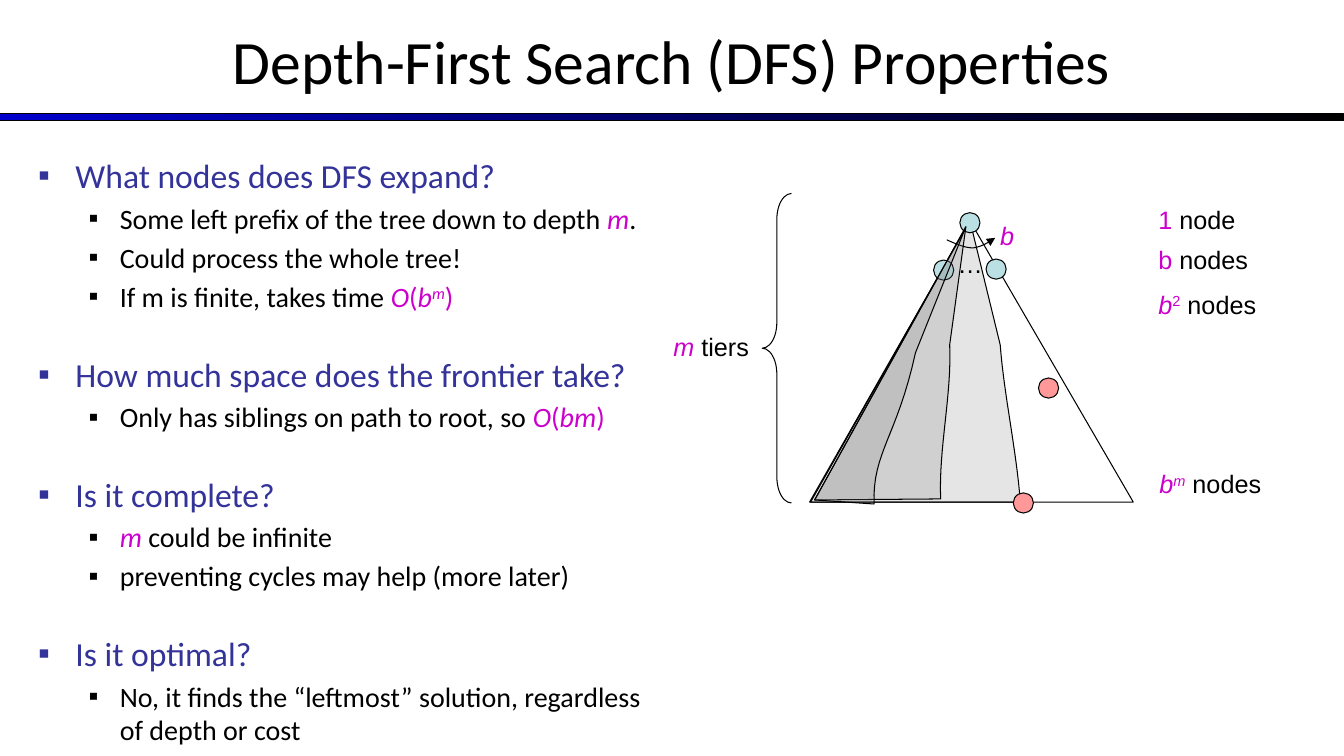
import pptx
import pptx.dml.color
import pptx.enum.shapes
import pptx.enum.text
import pptx.oxml.ns
import pptx.util
from lxml import etree

Inches, Pt = pptx.util.Inches, pptx.util.Pt
SHAPES = pptx.enum.shapes.MSO_SHAPE
BLACK, NAVY, MAGENTA = "000000", "333399", "CC00CC"
NODE_BLUE, NODE_RED, WEDGE_GREY = "BBE0E3", "FF9999", "808080"

TITLE = "Depth-First Search (DFS) Properties"

# Text runs are (text, style): m = magenta, i = italic, s = superscript
SECTIONS = [
    ("What nodes does DFS expand?", [
        [("Some left prefix of the tree down to depth ", ""), ("m", "mi"), (".", "")],
        [("Could process the whole tree!", "")],
        [("If m is finite, takes time ", ""), ("O", "mi"), ("(", "m"), ("b", "mi"),
         ("m", "mis"), (")", "m")],
    ]),
    ("How much space does the frontier take?", [
        [("Only has siblings on path to root, so ", ""), ("O", "mi"), ("(", "m"),
         ("bm", "mi"), (")", "m")],
    ]),
    ("Is it complete?", [
        [("m", "mi"), (" could be infinite", "")],
        [("preventing cycles may help (more later)", "")],
    ]),
    ("Is it optimal?", [
        [("No, it finds the “leftmost” solution, regardless of depth or cost", "")],
    ]),
]

# (left, top, width, runs)
LABELS = [
    (9.4, 2.41, 0.3, [("…", "")]),
    (9.82, 2.14, 0.33, [("b", "mi")]),
    (11.39, 1.98, 1.22, [("1", "m"), (" node", "")]),
    (11.39, 2.37, 1.22, [("b", "m"), (" nodes", "")]),
    (11.39, 2.82, 1.22, [("b", "mi"), ("2", "ms"), (" nodes", "")]),
    (11.4, 4.6, 1.6, [("b", "mi"), ("m", "mis"), (" nodes", "")]),
    (6.58, 3.24, 1.38, [("m", "mi"), (" tiers", "")]),
]

# Outlines: two numbers make a corner, six make a Bezier curve
TREE = [(8.03, 4.98), (11.24, 4.98), (9.62, 2.19)]
WIDE_WEDGE = [(8.04, 4.98), (10.12, 4.98), (10.08, 4.46, 9.96, 3.93, 9.92, 3.42), (9.62, 2.19)]
INNER_WEDGES = [
    [(8.08, 4.96), (9.33, 4.95), (9.31, 4.44, 9.44, 3.93, 9.42, 3.42), (9.58, 2.25)],
    [(8.08, 4.96), (8.67, 5), (8.65, 4.49, 8.9, 4.33, 9.08, 3.5), (9.58, 2.25)],
]
BRANCH_ARC = [(9.39, 2.38), (9.48, 2.42, 9.57, 2.46, 9.65, 2.46),
              (9.73, 2.45, 9.8, 2.41, 9.87, 2.36)]

NODE_SIZE = 0.2
NODES = [(9.52, 2.11, NODE_BLUE), (9.26, 2.58, NODE_BLUE), (9.78, 2.57, NODE_BLUE),
         (10.05, 4.89, NODE_RED)]
LOOSE_NODE = (10.3, 3.75, NODE_RED)
CURVE_STEPS = 16

deck = pptx.Presentation()
deck.slide_width, deck.slide_height = Inches(13.33), Inches(7.5)
slide = deck.slides.add_slide(deck.slide_layouts[6])


def rgb(value):
    return pptx.dml.color.RGBColor.from_string(value)


def add_xml(parent, tag, **attributes):
    return etree.SubElement(parent, pptx.oxml.ns.qn(tag), attributes)


def outline(shape, fill=None, opacity=None):
    """Give a shape a thin black line and a plain, translucent or empty fill."""
    shape.shadow.inherit = False
    shape.line.color.rgb = rgb(BLACK)
    shape.line.width = Pt(0.75)
    if fill is None:
        shape.fill.background()
        return
    shape.fill.solid()
    shape.fill.fore_color.rgb = rgb(fill)
    if opacity:
        color = shape.fill._xPr.find(".//" + pptx.oxml.ns.qn("a:srgbClr"))
        add_xml(color, "a:alpha", val=str(opacity * 1000))


def add_preset(preset, left, top, width, height):
    return slide.shapes.add_shape(preset, Inches(left), Inches(top), Inches(width), Inches(height))


def add_node(left, top, color):
    outline(add_preset(SHAPES.OVAL, left, top, NODE_SIZE, NODE_SIZE), color)


def flatten(steps):
    """Turn corners and Bezier curves into a list of points."""
    points = []
    for step in steps:
        if len(step) == 2:
            points.append(step)
            continue
        controls = [points[-1], step[:2], step[2:4], step[4:]]
        for i in range(1, CURVE_STEPS + 1):
            t = i / CURVE_STEPS
            weights = ((1 - t) ** 3, 3 * t * (1 - t) ** 2, 3 * t * t * (1 - t), t ** 3)
            points.append(tuple(sum(w * c[axis] for w, c in zip(weights, controls))
                                for axis in (0, 1)))
    return points


def add_outline(steps, close=True, fill=None, opacity=None):
    points = [(Inches(x), Inches(y)) for x, y in flatten(steps)]
    builder = slide.shapes.build_freeform(*points[0])
    builder.add_line_segments(points[1:], close=close)
    shape = builder.convert_to_shape()
    outline(shape, fill, opacity)
    return shape


def add_runs(paragraph, runs, face, size, color=BLACK):
    for text, style in runs:
        run = paragraph.add_run()
        run.text = text
        formats = {"name": face, "size": Pt(size), "italic": "i" in style}
        for name, value in formats.items():
            setattr(run.font, name, value)
        run.font.color.rgb = rgb(MAGENTA if "m" in style else color)
        if "s" in style:
            run._r.get_or_add_rPr().set("baseline", "30000")


def add_text_frame(left, top, width, height):
    box = slide.shapes.add_textbox(Inches(left), Inches(top), Inches(width), Inches(height))
    box.text_frame.word_wrap = True
    return box.text_frame


def add_bullet(paragraph, level, color, margin, indent):
    paragraph.level = level
    properties = paragraph._p.get_or_add_pPr()
    properties.set("marL", str(Inches(margin)))
    properties.set("indent", str(Inches(-indent)))
    add_xml(add_xml(properties, "a:buClr"), "a:srgbClr", val=color)
    add_xml(properties, "a:buFont", typeface="Arial")
    add_xml(properties, "a:buChar", char="▪")


header_bar = add_preset(SHAPES.RECTANGLE, 0, 1.13, 13.33, 0.07)
outline(header_bar, BLACK)
header_bar.fill.gradient()
header_bar.fill.gradient_angle = 0
for stop, (position, color) in zip(header_bar.fill.gradient_stops, [(0, "0000CC"), (1, BLACK)]):
    stop.position = position
    stop.color.rgb = rgb(color)

add_outline(WIDE_WEDGE, fill=WEDGE_GREY, opacity=20)

title = add_text_frame(0, -0.03, 13.33, 1.25)
title.vertical_anchor = pptx.enum.text.MSO_ANCHOR.MIDDLE
title.paragraphs[0].alignment = pptx.enum.text.PP_ALIGN.CENTER
add_runs(title.paragraphs[0], [(TITLE, "")], "Calibri", 44)

add_outline(TREE)
for node in NODES:
    add_node(*node)
branch_arc = add_outline(BRANCH_ARC, close=False)
add_xml(branch_arc.line._get_or_add_ln(), "a:tailEnd", type="triangle")

depth_brace = add_preset(SHAPES.LEFT_BRACE, 7.56, 1.92, 0.29, 3.07)
depth_brace.adjustments[0] = 0.884
outline(depth_brace)

for left, top, width, runs in LABELS:
    add_runs(add_text_frame(left, top, width, 0.4).paragraphs[0], runs, "Arial", 18)

questions = add_text_frame(0.28, 1.49, 6.31, 5.17)
for number, (question, answers) in enumerate(SECTIONS):
    heading = questions.add_paragraph() if number else questions.paragraphs[0]
    add_bullet(heading, 0, NAVY, 0.37, 0.37)
    if number:
        heading.space_before = Pt(29)
    add_runs(heading, [(question, "")], "Calibri", 24, NAVY)
    for runs in answers:
        answer = questions.add_paragraph()
        add_bullet(answer, 1, BLACK, 0.81, 0.31)
        answer.space_before = Pt(4)
        add_runs(answer, runs, "Calibri", 20)

for wedge in INNER_WEDGES:
    add_outline(wedge, fill=WEDGE_GREY, opacity=20)
add_node(*LOOSE_NODE)

deck.save("out.pptx")
